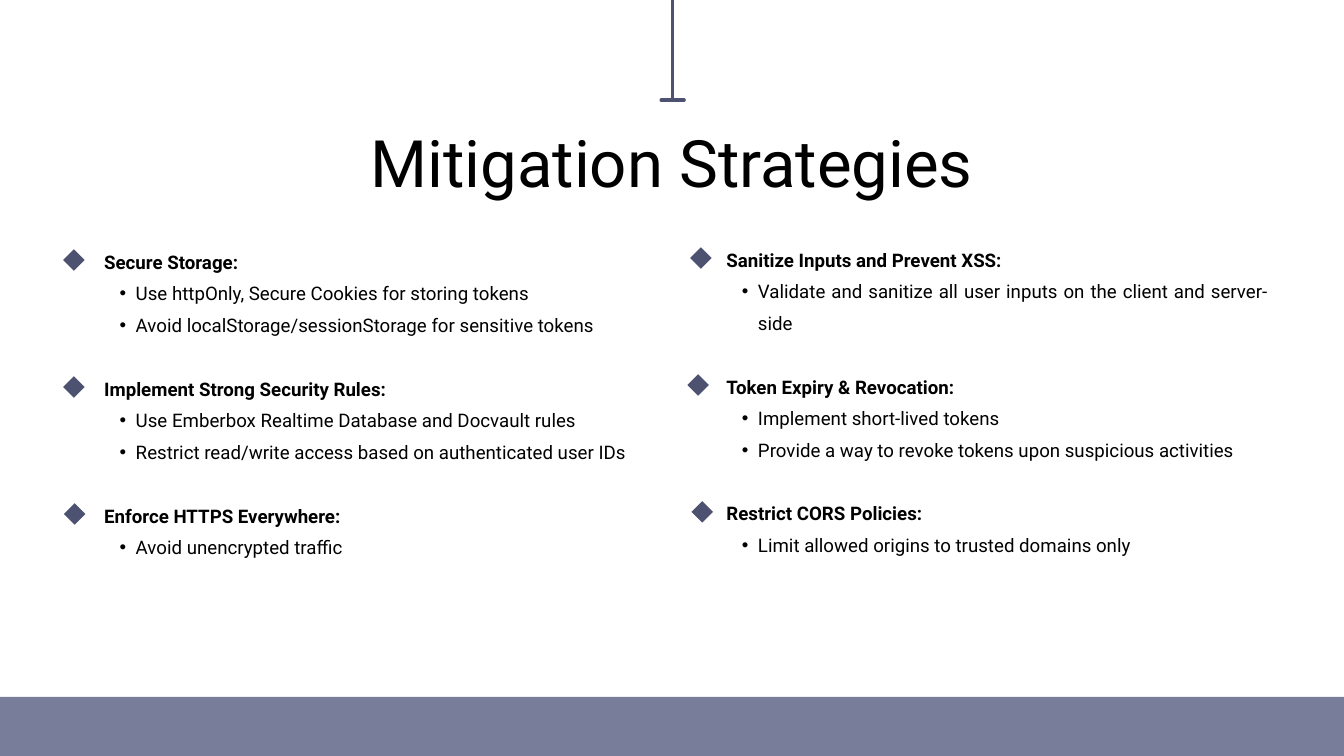
from pptx import Presentation
from pptx.dml.color import RGBColor
from pptx.enum.shapes import MSO_CONNECTOR, MSO_SHAPE
from pptx.enum.text import PP_ALIGN
from pptx.oxml.ns import qn
from pptx.util import Inches, Pt
from lxml import etree

STRAIGHT = MSO_CONNECTOR.STRAIGHT
RECT, DIAMOND = MSO_SHAPE.RECTANGLE, MSO_SHAPE.DIAMOND
CENTER, JUSTIFY = PP_ALIGN.CENTER, PP_ALIGN.JUSTIFY

BLACK = RGBColor(0x00, 0x00, 0x00)
NAVY = RGBColor(0x4C, 0x52, 0x70)
SLATE = RGBColor(0x78, 0x7D, 0x9A)

COLS, ROWS = 20, 11.25
LEAD = 34  # points per line of body text
PITCH = 4 * LEAD / 72  # heading, two lines and a gap
MARK = 0.32

# Column left, top, width, height, then (mark left, heading, points)
LISTS = [
    (1.55, 3.59, 8.42, 5.21, [
        (0.94, "Secure Storage:", [
            "Use httpOnly, Secure Cookies for storing tokens",
            "Avoid localStorage/sessionStorage for sensitive tokens"]),
        (0.94, "Implement Strong Security Rules:", [
            "Use Emberbox Realtime Database and Docvault rules",
            "Restrict read/write access based on authenticated user IDs"]),
        (0.95, "Enforce HTTPS Everywhere:", [
            "Avoid unencrypted traffic"]),
    ]),
    (10.81, 3.56, 8.06, 4.73, [
        (10.27, "Sanitize Inputs and Prevent XSS:", [
            "Validate and sanitize all user inputs on the client and server-side"]),
        (10.23, "Token Expiry & Revocation:", [
            "Implement short-lived tokens",
            "Provide a way to revoke tokens upon suspicious activities"]),
        (10.29, "Restrict CORS Policies:", [
            "Limit allowed origins to trusted domains only"]),
    ]),
]


class Deck:
    """Style and current slide; lengths are columns and rows of the grid."""

    font = "Roboto"

    def __init__(self):
        self.prs = Presentation()
        self.prs.slide_width = Inches(COLS)
        self.prs.slide_height = Inches(ROWS)
        self.slide = self.prs.slides.add_slide(self.prs.slide_layouts[6])

    def grid(self, *cells):
        """Turn alternating columns and rows into slide lengths."""
        units = self.prs.slide_width / COLS, self.prs.slide_height / ROWS
        return [round(n * units[i % 2]) for i, n in enumerate(cells)]

    def shape(self, kind, color, *place):
        item = self.slide.shapes.add_shape(kind, *self.grid(*place))
        item.shadow.inherit = False
        item.fill.solid()
        item.fill.fore_color.rgb = color
        item.line.fill.background()

    def line(self, *ends):
        item = self.slide.shapes.add_connector(STRAIGHT, *self.grid(*ends))
        item.line.color.rgb = NAVY
        item.line.width = Pt(3.75)
        item.line._get_or_add_ln().set("cap", "rnd")
        etree.SubElement(item._element.spPr, qn("a:effectLst"))

    def box(self, *place):
        frame = self.slide.shapes.add_textbox(*self.grid(*place)).text_frame
        frame.word_wrap = True
        frame.margin_left = frame.margin_right = 0
        frame.margin_top = frame.margin_bottom = 0
        return frame

    def style(self, para, size, lead, align, bold=False):
        para.alignment = align
        para.line_spacing = Pt(lead)
        for run in para.runs:
            run.font.name = self.font
            run.font.size = Pt(size)
            run.font.bold = bold
            run.font.color.rgb = BLACK

    def title(self, text, *place):
        para = self.box(*place).paragraphs[0]
        para.text = text
        self.style(para, 70, 84, CENTER)

    def bullet(self, para):
        props = para._p.get_or_add_pPr()
        props.set("marL", str(Inches(0.47)))
        props.set("indent", str(Inches(-0.24)))
        etree.SubElement(props, qn("a:buFont")).set("typeface", "Arial")
        etree.SubElement(props, qn("a:buChar")).set("char", "•")
        para.level = 1

    def topics(self, left, top, width, height, items):
        frame = self.box(left, top, width, height)
        for i, (mark, head, points) in enumerate(items):
            self.shape(DIAMOND, NAVY, mark, top + 0.12 + i * PITCH, MARK, MARK)
            para = frame.add_paragraph() if i else frame.paragraphs[0]
            para.text = head
            self.style(para, 20, LEAD, JUSTIFY, bold=True)
            if i:
                para.space_before = Pt(LEAD)
            for point in points:
                para = frame.add_paragraph()
                para.text = point
                self.bullet(para)
                self.style(para, 20, LEAD, JUSTIFY)


def main():
    deck = Deck()
    deck.line(10.01, 0, 10.01, 1.49)
    deck.line(10.18, 1.49, 9.84, 1.49)
    deck.shape(RECT, SLATE, 0, 10.37, COLS, ROWS - 10.37)
    deck.title("Mitigation Strategies", 1.12, 1.82, 17.75, 1.16)
    for block in LISTS:
        deck.topics(*block)
    deck.prs.save("out.pptx")


if __name__ == "__main__":
    main()
